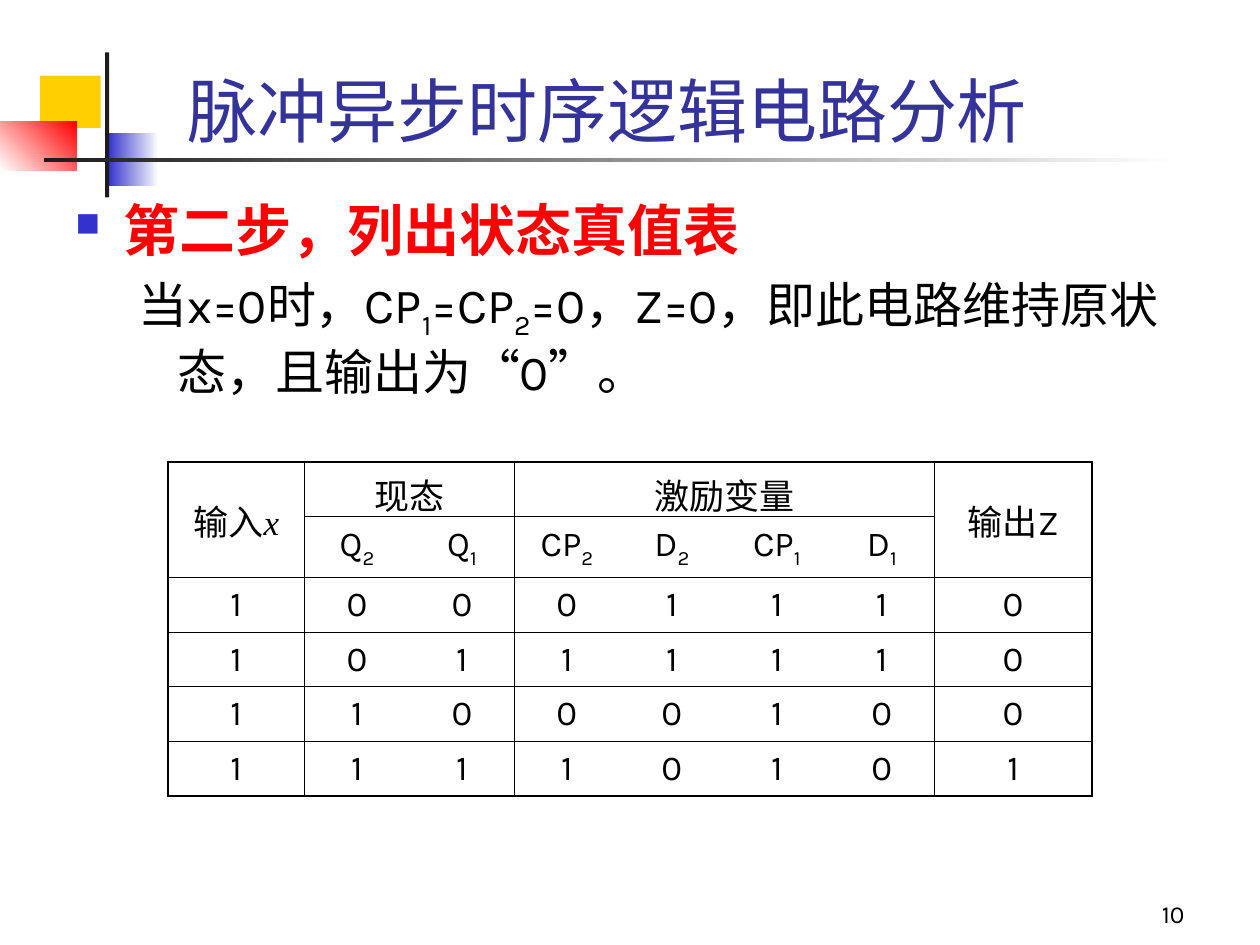
from lxml import etree
from pptx import Presentation
from pptx.dml.color import RGBColor
from pptx.enum.shapes import MSO_SHAPE
from pptx.enum.text import MSO_ANCHOR, PP_ALIGN
from pptx.oxml.ns import qn
from pptx.util import Inches, Pt

RECTANGLE = MSO_SHAPE.RECTANGLE
TOP, MIDDLE, BOTTOM = MSO_ANCHOR.TOP, MSO_ANCHOR.MIDDLE, MSO_ANCHOR.BOTTOM
LEFT, CENTER, RIGHT = PP_ALIGN.LEFT, PP_ALIGN.CENTER, PP_ALIGN.RIGHT

COLORS = {
    "yellow": "FFCF01", "blue": "3333CC", "red": "FF0000", "dark": "1C1C1C",
    "white": "FFFFFF", "black": "000000", "title": "333399",
}
NO_STYLE = "{2D5ABB26-0587-4C30-8999-92F81FD0307C}"
THICK, THIN = 1.08, 0.45

BLOCKS = [
    ((3.8, 7.2, 5.8, 5), ["yellow"], 0),
    ((10.3, 12.7, 4.8, 5), ["blue", "white"], 0),
    ((0, 11.6, 7.3, 4.6), ["white", "red"], 45),
    ((10, 5, 0.4, 13.8), ["dark"], 0),
    ((4.2, 15, 108, 0.4), ["dark", "white"], 0),
]
TABLE_ROWS = [
    ["输入", "现态", "", "激励变量", "", "", "", "输出Z"],
    ["", "Q|2", "Q|1", "CP|2", "D|2", "CP|1", "D|1", ""],
    *(list(values) for values in ("10001110", "10111110", "11000100", "11110101")),
]
COLUMN_WIDTHS = [13] + [10] * 6 + [15]
ROW_HEIGHTS = [5.2, 5.8] + [5.2] * 4
MERGES = [((0, 0), (1, 0)), ((0, 1), (0, 2)), ((0, 3), (0, 6)), ((0, 7), (1, 7))]
COLUMN_RULES = {0: THICK, 1: THIN, 3: THIN, 7: THIN, 8: THICK}
ROW_RULES = {0: THICK, 1: THIN, 2: THIN, 3: THIN, 4: THIN, 5: THIN, 6: THICK}


class SlideBuilder:
    """Draws styled elements on a slide measured in a grid of 120 columns by 90 rows."""

    font = "Karla"
    cell_format = {"size": Pt(20)}

    def __init__(self, presentation):
        self.column = presentation.slide_width / 120
        self.row = presentation.slide_height / 90
        self.slide = presentation.slides.add_slide(presentation.slide_layouts[6])

    def place(self, left, top, width, height):
        return (round(left * self.column), round(top * self.row),
                round(width * self.column), round(height * self.row))

    def color(self, name):
        return RGBColor.from_string(COLORS[name])

    def block(self, area, colors, angle):
        shape = self.slide.shapes.add_shape(RECTANGLE, *self.place(*area))
        shape.shadow.inherit = False
        shape.line.fill.background()
        if len(colors) == 1:
            shape.fill.solid()
            shape.fill.fore_color.rgb = self.color(colors[0])
            return
        shape.fill.gradient()
        shape.fill.gradient_angle = angle
        for stop, name in zip(shape.fill.gradient_stops, colors):
            stop.color.rgb = self.color(name)

    def add_text(self, paragraph, text, color="black", **formats):
        for index, part in enumerate(text.split("|")):
            run = paragraph.add_run()
            run.text = part
            for name, value in {"name": self.font, **formats}.items():
                setattr(run.font, name, value)
            run.font.color.rgb = self.color(color)
            if index % 2:
                run.font._element.set("baseline", "-25000")

    def text_box(self, area, anchor):
        frame = self.slide.shapes.add_textbox(*self.place(*area)).text_frame
        frame.word_wrap = True
        frame.vertical_anchor = anchor
        return frame

    def line(self, area, text, anchor, alignment, **formats):
        paragraph = self.text_box(area, anchor).paragraphs[0]
        paragraph.alignment = alignment
        self.add_text(paragraph, text, **formats)

    def indent(self, paragraph, margin, hanging):
        properties = paragraph._p.get_or_add_pPr()
        properties.set("marL", str(Inches(margin)))
        properties.set("indent", str(-Inches(hanging)))
        return properties

    def body(self, area, heading, detail):
        frame = self.text_box(area, TOP)
        paragraph = frame.paragraphs[0]
        properties = self.indent(paragraph, 0.38, 0.38)
        bullet_color = etree.SubElement(properties, qn("a:buClr"))
        etree.SubElement(bullet_color, qn("a:srgbClr"), val=COLORS["blue"])
        etree.SubElement(properties, qn("a:buSzPct"), val="60000")
        etree.SubElement(properties, qn("a:buChar"), char="■")
        self.add_text(paragraph, heading, "red", size=Pt(32), bold=True)
        paragraph = frame.add_paragraph()
        paragraph.level = 1
        paragraph.space_before = Pt(7)
        self.indent(paragraph, 0.81, 0.31)
        self.add_text(paragraph, detail, size=Pt(28))

    def borders(self, cell, row, column):
        properties = cell._tc.get_or_add_tcPr()
        widths = {
            "a:lnL": COLUMN_RULES.get(column),
            "a:lnR": COLUMN_RULES.get(column + cell.span_width),
            "a:lnT": ROW_RULES[row],
            "a:lnB": ROW_RULES[row + cell.span_height],
        }
        for tag, width in widths.items():
            border = etree.SubElement(properties, qn(tag), w=str(Pt(width or 0)))
            if width:
                fill = etree.SubElement(border, qn("a:solidFill"))
                etree.SubElement(fill, qn("a:srgbClr"), val=COLORS["black"])
            else:
                etree.SubElement(border, qn("a:noFill"))

    def table(self, left, top):
        area = self.place(left, top, sum(COLUMN_WIDTHS), sum(ROW_HEIGHTS))
        table = self.slide.shapes.add_table(len(ROW_HEIGHTS), len(COLUMN_WIDTHS), *area).table
        table.first_row = table.horz_banding = False
        table._tbl.tblPr.find(qn("a:tableStyleId")).text = NO_STYLE
        for column, width in zip(table.columns, COLUMN_WIDTHS):
            column.width = round(width * self.column)
        for row, height in zip(table.rows, ROW_HEIGHTS):
            row.height = round(height * self.row)
        for first, last in MERGES:
            table.cell(*first).merge(table.cell(*last))
        for row, values in enumerate(TABLE_ROWS):
            for column, text in enumerate(values):
                cell = table.cell(row, column)
                if cell.is_spanned:
                    continue
                self.borders(cell, row, column)
                cell.fill.background()
                cell.vertical_anchor = MIDDLE
                paragraph = cell.text_frame.paragraphs[0]
                paragraph.alignment = CENTER
                self.add_text(paragraph, text, **self.cell_format)
        self.add_text(table.cell(0, 0).text_frame.paragraphs[0], "x",
                      name="Times New Roman", italic=True, **self.cell_format)


def main():
    presentation = Presentation()
    presentation.slide_width, presentation.slide_height = Inches(10), Inches(7.5)
    builder = SlideBuilder(presentation)
    for area, colors, angle in BLOCKS:
        builder.block(area, colors, angle)
    builder.line((89, 83, 25, 6), "10", BOTTOM, RIGHT, size=Pt(14))
    builder.body((6, 18, 110, 64), "第二步，列出状态真值表",
                 "当x=0时，CP|1|=CP|2|=0，Z=0，即此电路维持原状态，且输出为“0”。")
    builder.line((16.7, 7, 99.2, 8), "脉冲异步时序逻辑电路分析", BOTTOM, LEFT,
                 size=Pt(40), color="title")
    builder.table(16, 44)
    presentation.save("out.pptx")


if __name__ == "__main__":
    main()
